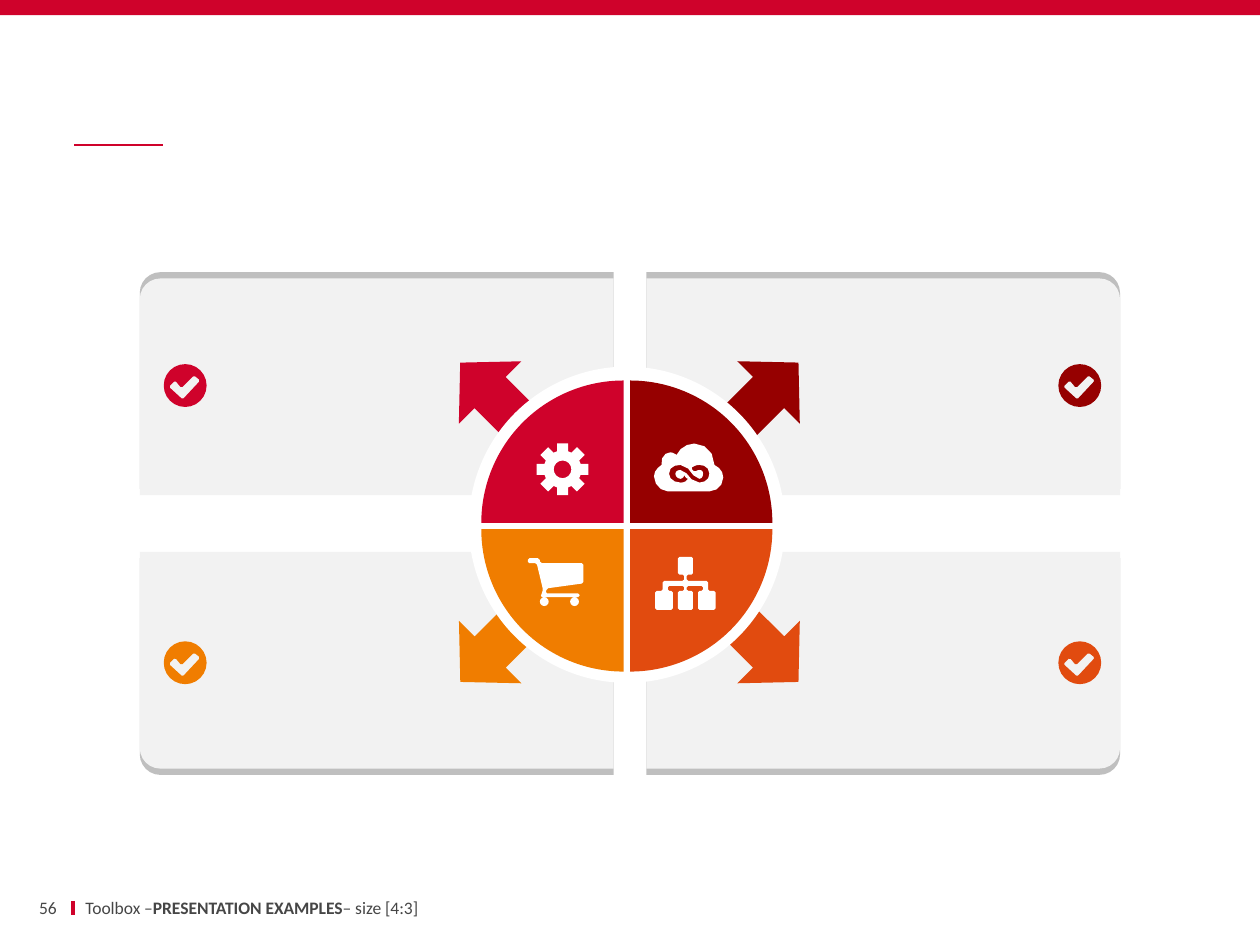
from math import cos, dist, radians, sin

from lxml.etree import SubElement
from pptx import Presentation
from pptx.dml.color import RGBColor
from pptx.enum.shapes import MSO_CONNECTOR, MSO_SHAPE
from pptx.enum.text import MSO_ANCHOR, PP_ALIGN
from pptx.oxml.ns import qn
from pptx.util import Inches, Pt

RED, DARK, AMBER, ORANGE = "CF022B", "960000", "F07D00", "E14B0F"
WHITE, CARD, EDGE, TEXT = "FFFFFF", "F2F2F2", "BFBFBF", "464646"


def rgb(value):
    return RGBColor.from_string(value)


def paint(shape, color):
    shape.shadow.inherit = False
    shape.fill.solid()
    shape.fill.fore_color.rgb = rgb(color)
    shape.line.fill.background()
    return shape


def add_box(s, kind, x, y, w, h, color, rotation=0):
    shape = s.shapes.add_shape(kind, Inches(x), Inches(y), Inches(w), Inches(h))
    shape.rotation = rotation
    return paint(shape, color)


def add_line(s, x1, y1, x2, y2, color, width):
    line = s.shapes.add_connector(
        MSO_CONNECTOR.STRAIGHT, Inches(x1), Inches(y1), Inches(x2), Inches(y2))
    line.line.color.rgb = rgb(color)
    line.line.width = Pt(width)
    SubElement(line._element.spPr, qn("a:effectLst"))


def add_text(s, x, y, w, h, runs, align=PP_ALIGN.LEFT, inset=0.0, size=10, color=TEXT):
    """Place one line of text; runs holds (text, bold) pairs."""
    tf = s.shapes.add_textbox(Inches(x), Inches(y), Inches(w), Inches(h)).text_frame
    tf.word_wrap = True
    tf.vertical_anchor = MSO_ANCHOR.MIDDLE
    tf.margin_left = tf.margin_right = Inches(inset)
    p = tf.paragraphs[0]
    p.alignment = align
    for text, bold in runs:
        r = p.add_run()
        r.text = text
        r.font.name, r.font.size, r.font.bold = "Calibri", Pt(size), bold
        r.font.color.rgb = rgb(color)


# Outline geometry, in inches relative to the icon's box
def polar(cx, cy, radius, degrees):
    return cx + radius * cos(radians(degrees)), cy + radius * sin(radians(degrees))


def circle(cx, cy, radius, count):
    return [polar(cx, cy, radius, 360 * i / count) for i in range(count)]


def curve(start, *segments, steps=3):
    """Flatten cubic Bezier segments (x1, y1, x2, y2, x, y)."""
    points = [start]
    for x1, y1, x2, y2, x, y in segments:
        x0, y0 = points[-1]
        for i in range(1, steps + 1):
            t = i / steps
            a, b, c, d = (1 - t) ** 3, 3 * t * (1 - t) ** 2, 3 * t * t * (1 - t), t ** 3
            points.append((a * x0 + b * x1 + c * x2 + d * x,
                           a * y0 + b * y1 + c * y2 + d * y))
    return points


def softened(points, cut=0.012):
    """Trim every corner of a polygon."""
    result = []
    for i, corner in enumerate(points):
        for other in (points[i - 1], points[(i + 1) % len(points)]):
            t = min(0.4, cut / dist(corner, other))
            result.append(tuple(c + t * (o - c) for c, o in zip(corner, other)))
    return result


def add_outline(s, x, y, contours, color):
    builder = None
    for contour in contours:
        points = [(Inches(x + px), Inches(y + py)) for px, py in contour]
        if builder is None:
            builder = s.shapes.build_freeform(*points[0], scale=1.0)
        else:
            builder.move_to(*points[0])
        builder.add_line_segments(points[1:], close=True)
    paint(builder.convert_to_shape(), color)


# Icons
def check_badge(s, x, y, color):
    tick = [(0.29, 0.13), (0.15, 0.28), (0.04, 0.18), (0.09, 0.13), (0.14, 0.19), (0.24, 0.09)]
    add_outline(s, x, y, [circle(0.17, 0.17, 0.17, 24), softened(tick)], color)


def gear_icon(s, x, y):
    c = 0.205
    teeth = [polar(c, c, radius, k * 45 + a) for k in range(8)
             for radius, a in ((0.15, -17), (0.21, -12), (0.21, 12), (0.15, 17))]
    add_outline(s, x, y, [teeth, circle(c, c, 0.07, 16)], WHITE)


def cloud_icon(s, x, y):
    cloud = curve((0.11, 0.38), (0.05, 0.38, 0, 0.32, 0, 0.26),
                  (0, 0.22, 0.03, 0.19, 0.06, 0.17),
                  (0.05, 0.11, 0.09, 0.07, 0.13, 0.07), (0.15, 0.07, 0.16, 0.08, 0.18, 0.09),
                  (0.2, 0.04, 0.26, 0, 0.32, 0), (0.41, 0, 0.48, 0.07, 0.48, 0.17),
                  (0.52, 0.19, 0.55, 0.22, 0.55, 0.27), (0.55, 0.33, 0.5, 0.38, 0.44, 0.38))
    loop = curve((0.21, 0.31), (0.23, 0.31, 0.25, 0.31, 0.27, 0.28),
                 (0.26, 0.28, 0.25, 0.27, 0.24, 0.25), (0.24, 0.27, 0.22, 0.28, 0.21, 0.28),
                 (0.19, 0.28, 0.17, 0.26, 0.17, 0.24), (0.17, 0.22, 0.19, 0.21, 0.21, 0.21),
                 (0.27, 0.21, 0.28, 0.31, 0.36, 0.31), (0.41, 0.31, 0.44, 0.28, 0.44, 0.24),
                 (0.44, 0.19, 0.4, 0.17, 0.36, 0.17), (0.33, 0.17, 0.32, 0.18, 0.3, 0.19),
                 (0.3, 0.21, 0.31, 0.22, 0.33, 0.22), (0.33, 0.22, 0.35, 0.21, 0.36, 0.21),
                 (0.38, 0.21, 0.39, 0.22, 0.39, 0.24), (0.39, 0.26, 0.38, 0.28, 0.36, 0.28),
                 (0.3, 0.28, 0.29, 0.17, 0.21, 0.17), (0.16, 0.17, 0.12, 0.19, 0.12, 0.24),
                 (0.12, 0.28, 0.16, 0.31, 0.21, 0.31))
    add_outline(s, x, y, [cloud, loop], WHITE)


def cart_icon(s, x, y):
    body = [(0.44, 0.04), (0.44, 0.2), (0.15, 0.24), (0.14, 0.28), (0.41, 0.28), (0.41, 0.31),
            (0.1, 0.31), (0.12, 0.25), (0.07, 0.04), (0, 0.04), (0, 0), (0.09, 0), (0.1, 0.04)]
    wheels = [circle(cx, 0.345, 0.035, 12) for cx in (0.13, 0.37)]
    add_outline(s, x, y, [softened(body), *wheels], WHITE)


def tree_icon(s, x, y):
    half = [(0.3, 0), (0.3, 0.14), (0.25, 0.14), (0.25, 0.19), (0.42, 0.19), (0.42, 0.27),
            (0.48, 0.27), (0.48, 0.42), (0.34, 0.42), (0.34, 0.27), (0.38, 0.27), (0.38, 0.23),
            (0.25, 0.23), (0.25, 0.27), (0.3, 0.27), (0.3, 0.42)]
    mirrored = [(0.48 - px, py) for px, py in reversed(half)]
    add_outline(s, x, y, [softened(half + mirrored)], WHITE)


# Column, row, colour, quarter turns, icon and its place
QUADRANTS = [
    (0, 0, RED, 0, gear_icon, 4.26, 3.52),
    (1, 0, DARK, 1, cloud_icon, 5.19, 3.52),
    (1, 1, ORANGE, 2, tree_icon, 5.2, 4.42),
    (0, 1, AMBER, 3, cart_icon, 4.19, 4.43),
]


def card(s, x, y, w, h, col, row, color, turns):
    """Card with a grey outer edge, an arrow and a check badge."""
    for dy, fill in ((0.05 if row else -0.05, EDGE), (0, CARD)):
        panel = add_box(s, MSO_SHAPE.ROUND_2_DIAG_RECTANGLE, x, y + dy, w, h, fill)
        rounding = (0.095, 0) if col == row else (0, 0.095)
        panel.adjustments[0], panel.adjustments[1] = rounding
    arrow_x = x + (0.62 if col else w - 1.33)
    arrow_y = y + (0.46 if row else 0.57)
    add_box(s, MSO_SHAPE.UP_ARROW, arrow_x, arrow_y, 0.7, 0.67, color, (turns * 90 - 45) % 360)
    check_badge(s, x + (w - 0.49 if col else 0.19), y + (0.71 if row else 0.68), color)


def wheel(s, x, y, size):
    """White disc with four coloured wedges and their icons."""
    add_box(s, MSO_SHAPE.OVAL, x, y, size, size, WHITE)
    for col, row, color, turns, icon, icon_x, icon_y in QUADRANTS:
        add_box(s, MSO_SHAPE.PIE_WEDGE, x + 0.1 + 1.18 * col, y + 0.11 + 1.18 * row,
                1.13, 1.13, color, turns * 90)
        icon(s, icon_x, icon_y)


def header(s, width):
    add_line(s, 0.59, 1.15, 1.29, 1.15, RED, 1)
    add_box(s, MSO_SHAPE.RECTANGLE, 0, 0, width, 0.12, RED)


def footer(s, y, h):
    add_line(s, 0.58, y + 0.04, 0.58, y + 0.15, RED, 2.25)
    add_text(s, 0.13, y, 0.32, h, [("56", False)], align=PP_ALIGN.RIGHT)
    add_text(s, 0.58, y, 4.97, h, [("Toolbox –", False), ("PRESENTATION EXAMPLES", True),
                                   ("– size [4:3]", False)], inset=0.1)


def main():
    prs = Presentation()
    prs.slide_width, prs.slide_height = Inches(10), Inches(7.5)
    s = prs.slides.add_slide(prs.slide_layouts[6])
    header(s, 10)
    for col, row, color, turns, *_ in QUADRANTS:
        card(s, 1.11 + 4.02 * col, 2.21 + 2.17 * row, 3.76, 1.72, col, row, color, turns)
    wheel(s, 3.72, 2.91, 2.51)
    footer(s, 7.11, 0.18)
    prs.save("out.pptx")


if __name__ == "__main__":
    main()
